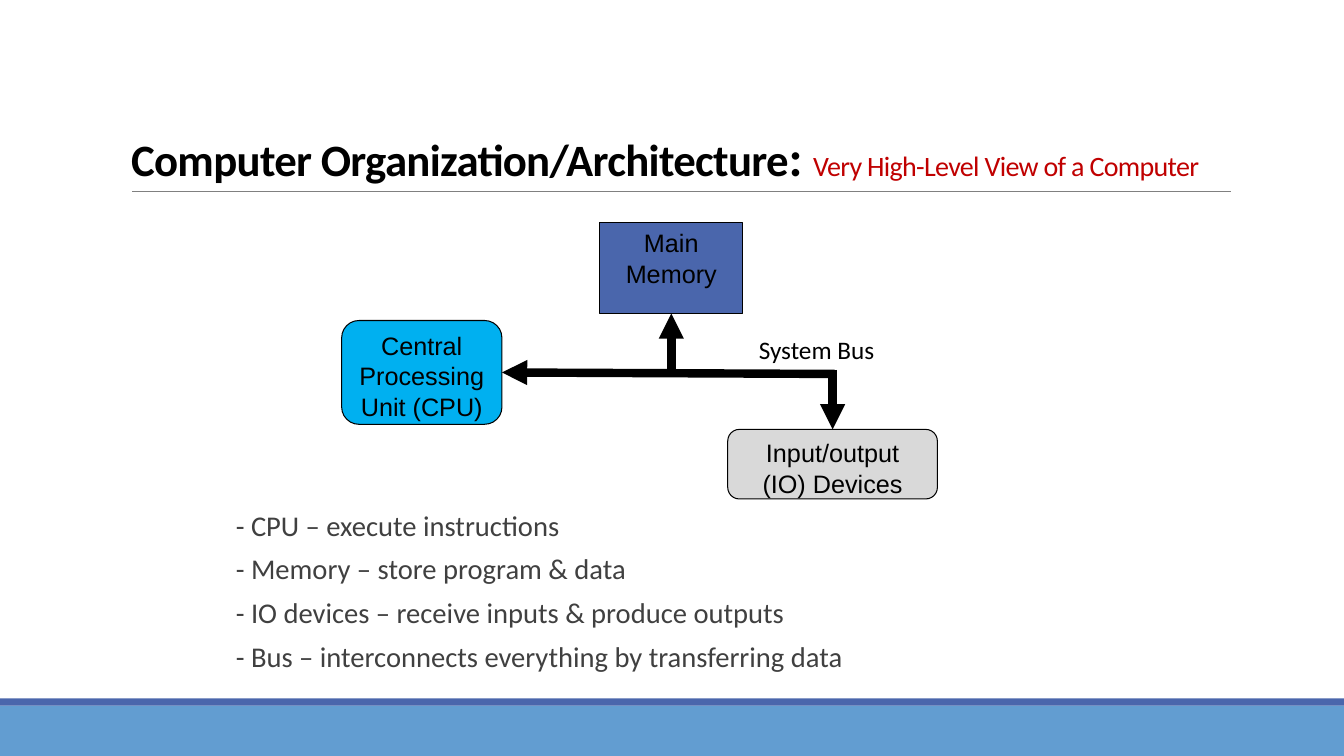
import pptx
import pptx.dml.color
import pptx.enum.shapes
import pptx.enum.text
import pptx.oxml
import pptx.oxml.ns
import pptx.util

SHAPE = pptx.enum.shapes.MSO_SHAPE
ANCHOR = pptx.enum.text.MSO_ANCHOR
COLUMNS, ROWS = 160, 90
WIDTH, HEIGHT = pptx.util.Inches(13.33), pptx.util.Inches(7.5)
TOP, BOTTOM, RIGHT = 0, 2, 3  # connection sites


def color(hex_string):
    return pptx.dml.color.RGBColor.from_string(hex_string)


def cols(count):
    return round(WIDTH * count / COLUMNS)


def rows(count):
    return round(HEIGHT * count / ROWS)


def cells(left, top, width, height):
    return cols(left), rows(top), cols(width), rows(height)


def inside(box, left, top, width, height):
    """Grid box given relative to the corner of an outer box."""
    return box[0] + left, box[1] + top, width, height


def style(font, size, hex_string, name="Calibri", bold=None):
    font.size = pptx.util.Pt(size)
    font.name = name
    font.bold = bold
    font.color.rgb = color(hex_string)


def add_block(slide, kind, box, fill, outline=None):
    block = slide.shapes.add_shape(kind, *cells(*box))
    block.shadow.inherit = False
    block.fill.solid()
    block.fill.fore_color.rgb = color(fill)
    if outline:
        block.line.color.rgb = color(outline)
        block.line.width = pptx.util.Pt(0.75)
    else:
        block.line.fill.background()
    return block


def add_line(slide, start, end, hex_string, width, arrow=None):
    """Straight line between grid points; arrow is headEnd or tailEnd."""
    line = slide.shapes.add_connector(
        pptx.enum.shapes.MSO_CONNECTOR.STRAIGHT,
        cols(start[0]), rows(start[1]), cols(end[0]), rows(end[1]))
    line.line.color.rgb = color(hex_string)
    line.line.width = pptx.util.Pt(width)
    if arrow:
        outline = line.line._get_or_add_ln()
        pptx.oxml.ns.qn("a:ln")
        outline.append(pptx.oxml.parse_xml(
            f'<a:{arrow} {pptx.oxml.ns.nsdecls("a")} type="triangle"/>'))
    line._element.spPr.append(pptx.oxml.parse_xml(
        f'<a:effectLst {pptx.oxml.ns.nsdecls("a")}/>'))
    return line


def add_footer(slide, box):
    left, top, width, height = box
    stripe = 0.84
    add_block(slide, SHAPE.RECTANGLE,
              (left, top + stripe, width, height - stripe), "629DD1")
    add_block(slide, SHAPE.RECTANGLE, (left, top, width, stripe), "4A66AC")


def add_heading(slide, box):
    title = slide.shapes.title
    title.left, title.top, title.width, title.height = cells(*box)
    frame = title.text_frame
    frame.auto_size = pptx.enum.text.MSO_AUTO_SIZE.NONE
    frame.vertical_anchor = ANCHOR.BOTTOM
    heading = frame.paragraphs[0]
    heading.alignment = pptx.enum.text.PP_ALIGN.LEFT
    heading.line_spacing = 0.85
    for text, size, hex_string, bold in (
            ("Computer Organization/Architecture", 32, "000000", True),
            (": ", 36, "000000", True),
            ("Very High-Level View of a Computer", 20, "C00000", False)):
        run = heading.add_run()
        run.text = text
        style(run.font, size, hex_string, bold=bold)
        run.font._element.set("spc", "-50")
    left, top, width, height = box
    bottom = top + height
    add_line(slide, (left + 1.32, bottom), (left + width - 0.36, bottom),
             "808080", 0.5)


def add_component(slide, kind, box, text, fill):
    component = add_block(slide, kind, box, fill, outline="000000")
    frame = component.text_frame
    frame.word_wrap = True
    frame.vertical_anchor = ANCHOR.TOP
    label = frame.paragraphs[0]
    label.text = text
    label.alignment = pptx.enum.text.PP_ALIGN.CENTER
    style(label.font, 18, "000000", "Arial")
    return component


def add_diagram(slide, box):
    cpu = add_component(
        slide, SHAPE.ROUNDED_RECTANGLE, inside(box, 0, 11.64, 19.08, 12.36),
        "Central Processing Unit (CPU)", "00B0F0")
    memory = add_component(
        slide, SHAPE.RECTANGLE, inside(box, 30.72, 0, 17.04, 10.8),
        "Main Memory", "4A66AC")
    devices = add_component(
        slide, SHAPE.ROUNDED_RECTANGLE, inside(box, 45.96, 24.6, 24.96, 8.28),
        "Input/output (IO) Devices", "D9D9D9")

    bus_row = box[1] + 18
    for target, site, column, start_row in (
            (memory, BOTTOM, 39.24, bus_row),
            (devices, TOP, 58.44, bus_row - 0.48)):
        start = (box[0] + column, start_row)
        branch = add_line(slide, start, start, "000000", 6, "tailEnd")
        branch.end_connect(target, site)
    bus = add_line(slide, (box[0] + 19.08, bus_row),
                   (box[0] + 58.68, bus_row), "000000", 6, "headEnd")
    bus.begin_connect(cpu, RIGHT)

    caption = slide.shapes.add_textbox(
        *cells(*inside(box, 48.48, 12.72, 26.52, 4.56))).text_frame
    caption.word_wrap = True
    caption.text = "System Bus"
    style(caption.paragraphs[0].font, 18, "000000")


def add_roles(slide, box):
    frame = slide.shapes.add_textbox(*cells(*box)).text_frame
    frame.word_wrap = True
    frame.margin_left = frame.margin_right = 0
    roles = ("- CPU – execute instructions",
             "- Memory – store program & data",
             "- IO devices – receive inputs & produce outputs",
             "- Bus – interconnects everything by transferring data")
    for index, text in enumerate(roles):
        role = frame.add_paragraph() if index else frame.paragraphs[0]
        role.text = text
        role.line_spacing = 0.7
        role.space_after = pptx.util.Pt(2)
        if index:
            role.space_before = pptx.util.Pt(12)
        role._p.get_or_add_pPr().set("marL", str(pptx.util.Inches(0.1)))
        style(role.font, 20.4, "404040")


def main():
    deck = pptx.Presentation()
    deck.slide_width, deck.slide_height = WIDTH, HEIGHT
    slide = deck.slides.add_slide(deck.slide_layouts.get_by_name("Title Only"))
    add_footer(slide, (0, 83.16, COLUMNS, 6.84))
    add_heading(slide, (14.4, 3.72, 132.48, 19.08))
    add_roles(slide, (26.88, 60.96, 108, 20.04))
    add_diagram(slide, (40.68, 26.52, 75, 32.88))
    deck.save("out.pptx")


if __name__ == "__main__":
    main()
